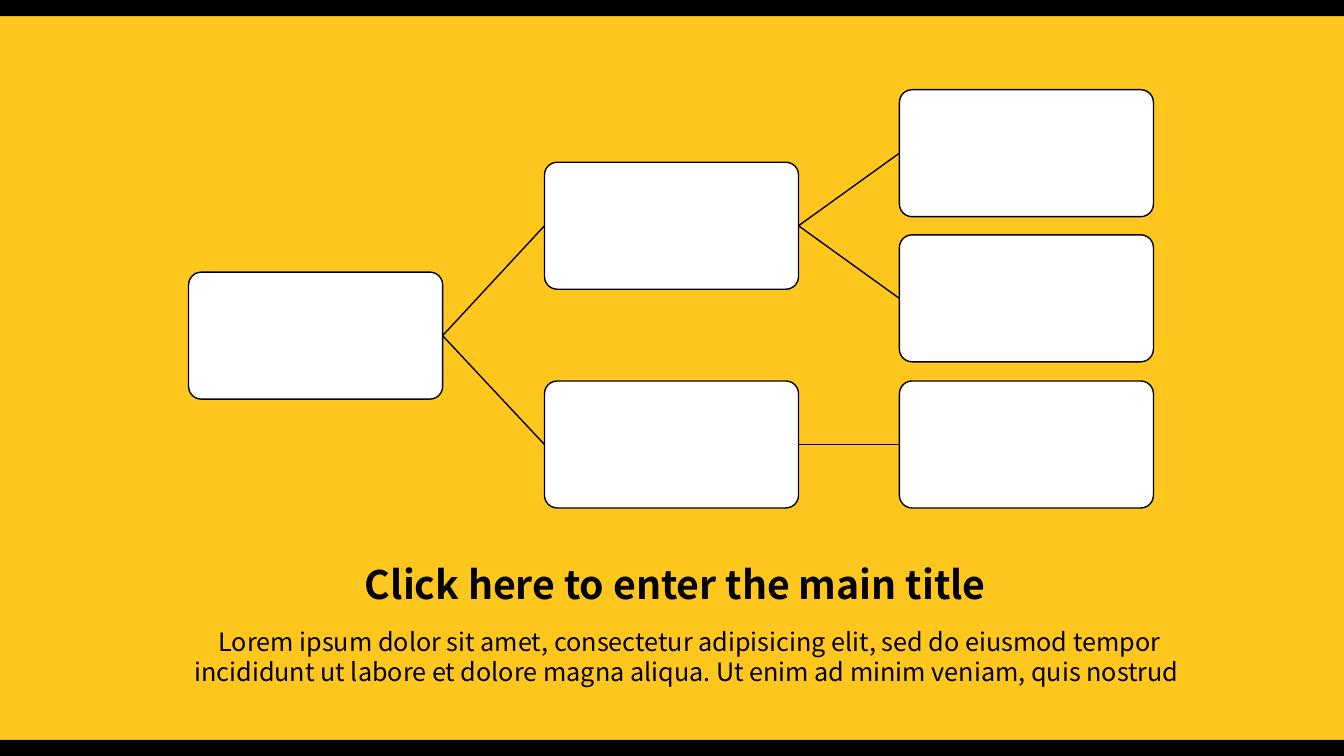
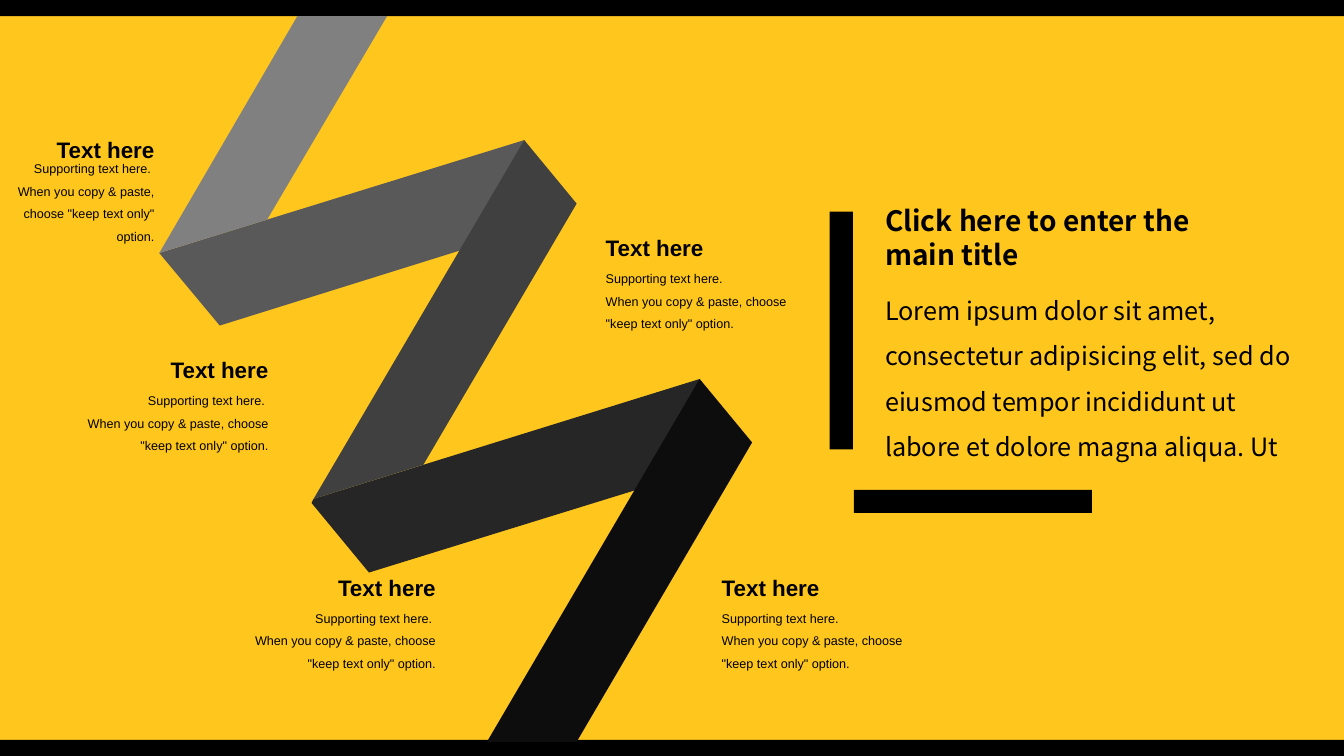
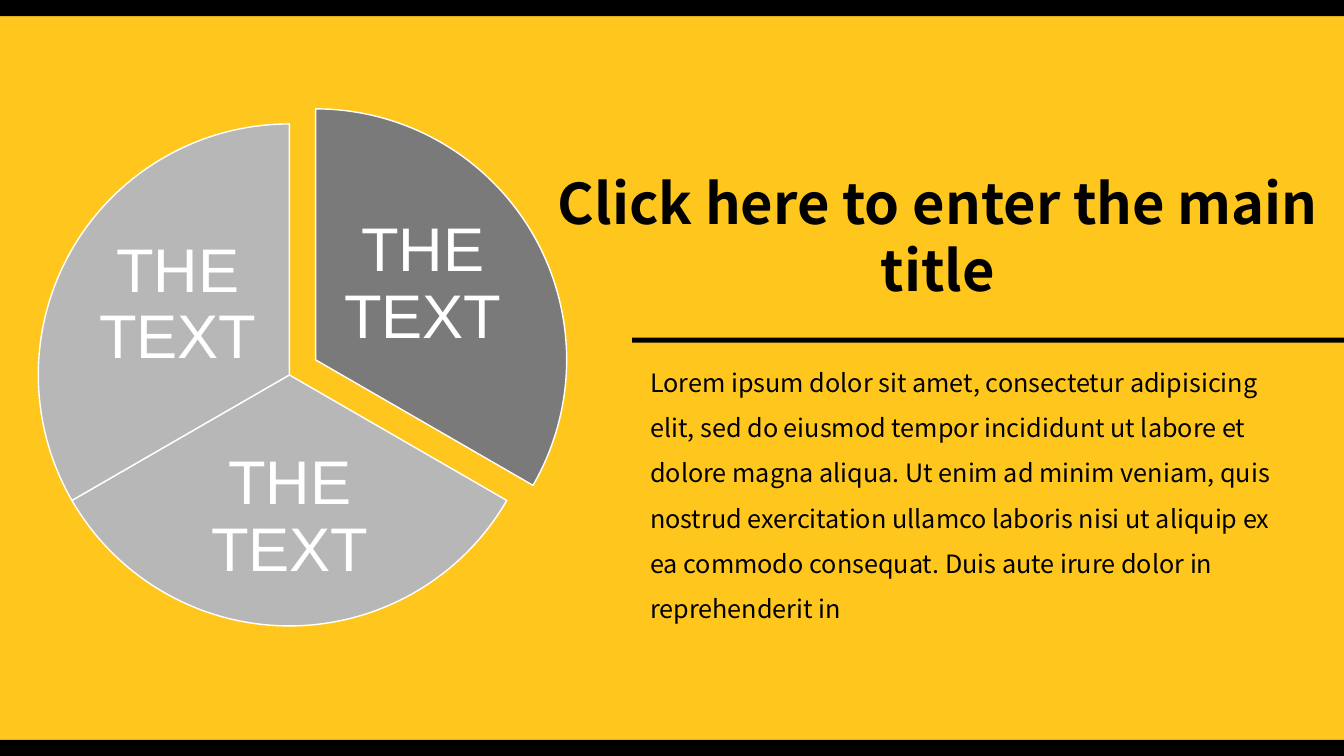
from lxml import etree
from pptx import Presentation
from pptx.dml.color import RGBColor
from pptx.enum import shapes, text
from pptx.oxml.ns import qn
from pptx.util import Inches, Pt

BLACK, WHITE, YELLOW = "000000", "FFFFFF", "FFC71D"
DARK_GRAY, LIGHT_GRAY = "7A7A7A", "B7B7B7"
TITLE_FONT, LABEL_FONT = "Noto Sans CJK SC", "Arial"
TITLE = "Click here to enter the main title"
LOREM = ("Lorem ipsum dolor sit amet, consectetur adipisicing elit, sed do eiusmod tempor "
         "incididunt ut labore et dolore magna aliqua. Ut")
LEFT, CENTER, RIGHT = text.PP_ALIGN.LEFT, text.PP_ALIGN.CENTER, text.PP_ALIGN.RIGHT
TOP, MIDDLE = text.MSO_ANCHOR.TOP, text.MSO_ANCHOR.MIDDLE
RECTANGLE = shapes.MSO_SHAPE.RECTANGLE
rgb = RGBColor.from_string


def paint(shape, fill, line=None):
    shape.shadow.inherit = False
    shape.fill.solid()
    shape.fill.fore_color.rgb = rgb(fill)
    if line:
        shape.line.color.rgb = rgb(line)
        shape.line.width = Pt(1)
    else:
        shape.line.fill.background()


def write(box, place, words, size, font=TITLE_FONT, color=BLACK, bold=False,
          align=LEFT, anchor=TOP, spacing=1.0):
    box.left, box.top, box.width, box.height = map(Inches, place)
    frame = box.text_frame
    frame.text = words
    frame.word_wrap = True
    frame.auto_size = text.MSO_AUTO_SIZE.NONE
    frame.vertical_anchor = anchor
    for para in frame.paragraphs:
        para.alignment = align
        para.line_spacing = spacing
        for span in para.runs:
            span.font.name = font
            span.font.size = Pt(size)
            span.font.bold = bold
            span.font.color.rgb = rgb(color)


# Deck with a yellow background and black bands on every slide
deck = Presentation()
deck.slide_width, deck.slide_height = Inches(13.33), Inches(7.5)
background = deck.slide_master.background.fill
background.solid()
background.fore_color.rgb = rgb(YELLOW)
for _ in range(3):
    page = deck.slides.add_slide(deck.slide_layouts[5])
    for top in (-0.01, 7.34):
        band = page.shapes.add_shape(RECTANGLE, Inches(-0.01), Inches(top),
                                     Inches(13.35), Inches(0.17))
        paint(band, BLACK)
tree_page, ribbon_page, pie_page = deck.slides

# Slide 1: tree of boxes, each with the index of its parent
tree = [(1.87, 2.7, None), (5.4, 1.61, 0), (5.4, 3.78, 0),
        (8.92, 0.89, 1), (8.92, 2.33, 1), (8.92, 3.78, 2)]
nodes = []
for left, top, parent in tree:
    node = tree_page.shapes.add_shape(shapes.MSO_SHAPE.ROUNDED_RECTANGLE, Inches(left),
                                      Inches(top), Inches(2.52), Inches(1.26))
    node.adjustments[0] = 0.1
    paint(node, WHITE, BLACK)
    nodes.append(node)
    if parent is not None:
        branch = tree_page.shapes.add_connector(shapes.MSO_CONNECTOR.STRAIGHT, 0, 0, 0, 0)
        branch.begin_connect(nodes[parent], 3)
        branch.end_connect(node, 1)
        branch.line.color.rgb = rgb(BLACK)
        branch.line.width = Pt(1)
        etree.SubElement(branch._element.spPr, qn("a:effectLst"))

write(tree_page.shapes.title, (3.52, 5.56, 6.52, 0.76), TITLE, 28, bold=True, spacing=0.9)
write(tree_page.shapes.add_textbox(0, 0, 0, 0), (1.72, 6.16, 10.24, 1.01),
      LOREM + " enim ad minim veniam, quis nostrud ", 18, align=CENTER)

# Slide 2: folded ribbon, from back to front
ribbon = [
    ("262626", [(6.94, 3.76), (3.11, 4.95), (3.09, 4.99), (3.66, 5.68), (7.12, 4.61)]),
    ("595959", [(5.2, 1.39), (1.58, 2.51), (2.18, 3.23), (5.38, 2.23)]),
    ("808080", [(1.58, 2.51), (2.65, 2.18), (3.84, 0.16), (2.95, 0.16)]),
    ("0D0D0D", [(6.94, 3.76), (4.83, 7.36), (5.72, 7.36), (7.46, 4.39)]),
    ("404040", [(5.2, 1.39), (3.11, 4.95), (4.2, 4.61), (5.72, 2.02)]),
]
for color, corners in ribbon:
    points = [(Inches(x), Inches(y)) for x, y in corners]
    outline = ribbon_page.shapes.build_freeform(*points[0], scale=1.0)
    outline.add_line_segments(points[1:], close=True)
    paint(outline.convert_to_shape(), color)

# Labels beside the folds: heading above supporting text
labels = [(7.06, 5.65, 2.13, LEFT), (-0.15, 1.3, 1.78, RIGHT), (2.33, 5.65, 2.09, RIGHT),
          (5.91, 2.28, 2.13, LEFT), (0.67, 3.49, 2.09, RIGHT)]
for left, top, width, align in labels:
    gap = " " if align == RIGHT else ""
    support = f'Supporting text here.{gap}\nWhen you copy & paste, choose "keep text only" option.'
    write(ribbon_page.shapes.add_textbox(0, 0, 0, 0), (left, top + 0.36, width, 0.62),
          support, 9, LABEL_FONT, align=align, anchor=MIDDLE, spacing=1.5)
    heading = ribbon_page.shapes.add_textbox(0, 0, 0, 0)
    write(heading, (left, top, width, 0.36), "Text here", 16, LABEL_FONT,
          bold=True, align=align, anchor=MIDDLE)
    heading.text_frame.word_wrap = False

# Main text framed by two bars
write(ribbon_page.shapes.title, (8.68, 1.97, 3.57, 0.77), TITLE, 20, bold=True)
write(ribbon_page.shapes.add_textbox(0, 0, 0, 0), (8.68, 2.73, 4.41, 1.87),
      LOREM, 18, spacing=1.5)
for place in ((8.23, 2.1, 0.23, 2.36), (8.47, 4.86, 2.36, 0.23)):
    paint(ribbon_page.shapes.add_shape(RECTANGLE, *map(Inches, place)), BLACK)

# Slide 3: title, rule and body
rule = pie_page.shapes.add_shape(RECTANGLE, Inches(6.27), Inches(3.35),
                                 Inches(7.06), Inches(0.05))
paint(rule, BLACK)
write(pie_page.shapes.title, (5.34, 1.62, 7.92, 1.45), TITLE, 40, bold=True, align=CENTER)
write(pie_page.shapes.add_textbox(0, 0, 0, 0), (6.35, 3.44, 6.67, 2.77),
      LOREM + " enim ad minim veniam, quis nostrud exercitation ullamco laboris nisi ut "
      "aliquip ex ea commodo consequat. Duis aute irure dolor in reprehenderit in",
      18, spacing=1.5)

# Pie slices: left, top, start and end angle (162 is 270 degrees), fill, label place
slices = [(0.64, 1.08, 162, 18, DARK_GRAY, (3.35, 2, 1.69, 1.66)),
          (0.38, 1.23, 18, 90, LIGHT_GRAY, (1.75, 4.37, 2.25, 1.54)),
          (0.38, 1.23, 90, 162, LIGHT_GRAY, (0.92, 2.2, 1.69, 1.66))]
for left, top, start, end, color, place in slices:
    piece = pie_page.shapes.add_shape(shapes.MSO_SHAPE.PIE, Inches(left), Inches(top),
                                      Inches(4.98), Inches(4.98))
    piece.adjustments[0], piece.adjustments[1] = start, end
    paint(piece, color, WHITE)
    label = pie_page.shapes.add_textbox(0, 0, 0, 0)
    write(label, place, "THE TEXT", 44, LABEL_FONT, WHITE,
          align=CENTER, anchor=MIDDLE, spacing=0.9)
    frame = label.text_frame
    frame.margin_left = frame.margin_right = Inches(0.06)
    frame.margin_top = frame.margin_bottom = Inches(0.06)

deck.save("out.pptx")
